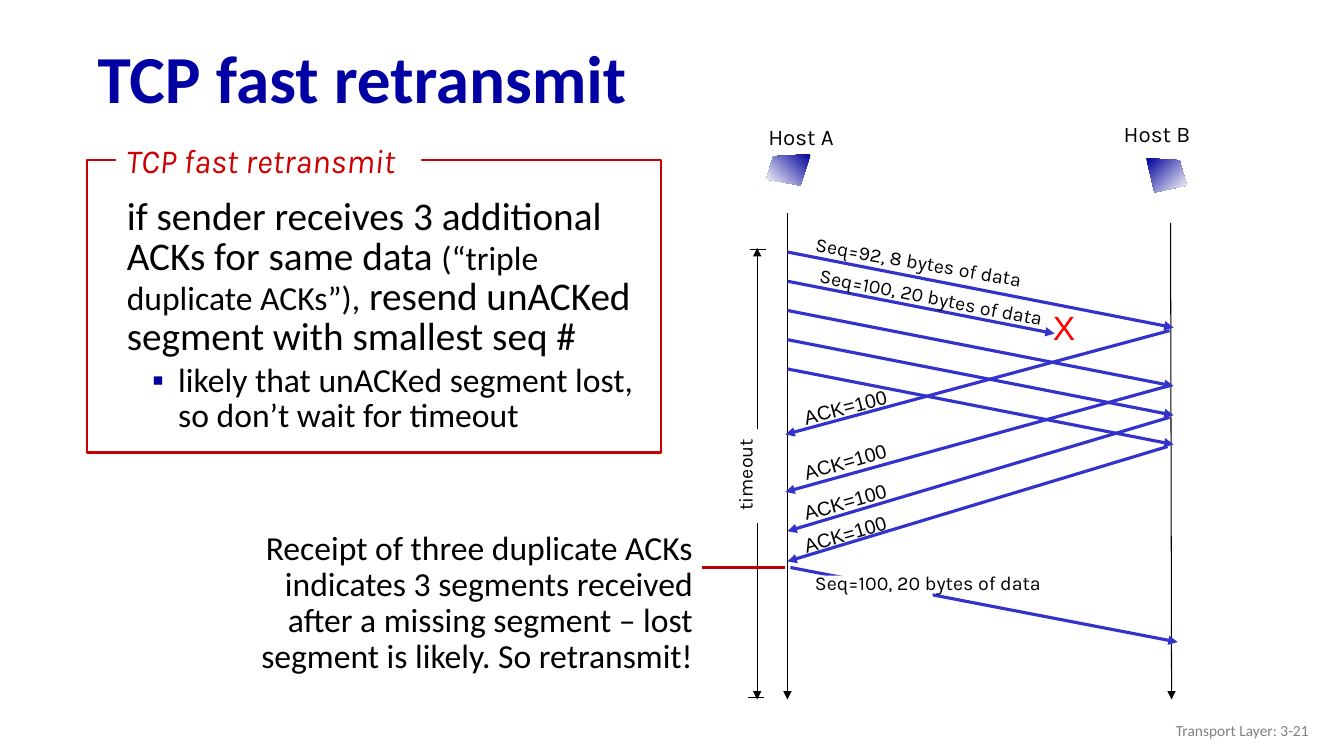
from dataclasses import dataclass

from lxml import etree
from pptx import Presentation
from pptx import util as u
from pptx.dml.color import RGBColor
from pptx.enum import shapes, text
from pptx.oxml import ns


@dataclass(frozen=True)
class Theme:
    title: str = "0000A3"
    navy: str = "000099"
    flow: str = "3333CC"
    black: str = "000000"
    white: str = "FFFFFF"
    red: str = "CC0000"
    link: str = "C00000"
    cross: str = "FF0000"
    gray: str = "808080"
    body: str = "Calibri"
    label: str = "Karla"
    plain: str = "Arial"
    head: int = 48
    large: int = 28
    mid: int = 24
    host: int = 16
    small: int = 14
    foot: int = 11


T = Theme()
LEFT, MID, RIGHT = text.PP_ALIGN.LEFT, text.PP_ALIGN.CENTER, text.PP_ALIGN.RIGHT


def rgb(code):
    return RGBColor.from_string(code)


def write(para, words, size=T.small, font=T.label, color=T.black,
          bold=False, slant=False, align=None, space=None):
    run = para.add_run()
    run.text = words
    run.font.size = u.Pt(size)
    run.font.name = font
    run.font.bold = bold
    run.font.italic = slant
    run.font.color.rgb = rgb(color)
    if align is not None:
        para.alignment = align
    if space:
        para.line_spacing = space


def bullet(para, mark, color, left, hang):
    props = para._p.get_or_add_pPr()
    props.set("marL", str(u.Inches(left)))
    props.set("indent", str(u.Inches(hang)))
    tint = etree.SubElement(props, ns.qn("a:buClr"))
    etree.SubElement(tint, ns.qn("a:srgbClr"), val=color)
    etree.SubElement(props, ns.qn("a:buFont"), typeface=T.plain)
    etree.SubElement(props, ns.qn("a:buChar"), char=mark)


class Page:
    def __init__(self, theme):
        self.theme = theme
        self.deck = Presentation()
        self.deck.slide_width = u.Inches(13.33)
        self.deck.slide_height = u.Inches(7.5)
        self.slide = self.deck.slides.add_slide(self.deck.slide_layouts[6])
        self.shapes = self.slide.shapes

    def text(self, words, box, turn=0, wrap=True, middle=False, **style):
        item = self.shapes.add_textbox(*map(u.Inches, box))
        item.rotation = turn
        frame = item.text_frame
        frame.word_wrap = wrap
        if middle:
            frame.vertical_anchor = text.MSO_ANCHOR.MIDDLE
        write(frame.paragraphs[0], words, **style)
        return frame

    def label(self, words, box, turn=0, **style):
        return self.text(words, box, turn, wrap=False, align=MID, **style)

    def rect(self, box, fill=None, edge=None):
        item = self.shapes.add_shape(shapes.MSO_SHAPE.RECTANGLE, *map(u.Inches, box))
        item.shadow.inherit = False
        if fill:
            item.fill.solid()
            item.fill.fore_color.rgb = rgb(fill)
        else:
            item.fill.background()
        if edge:
            item.line.color.rgb = rgb(edge)
            item.line.width = u.Pt(1.5)
        else:
            item.line.fill.background()
        frame = item.text_frame
        frame.word_wrap = True
        frame.vertical_anchor = text.MSO_ANCHOR.TOP
        return frame

    def line(self, start, end, color=T.black, width=0.75, arrow=True):
        item = self.shapes.add_connector(
            shapes.MSO_CONNECTOR.STRAIGHT, *map(u.Inches, (*start, *end)))
        item.line.color.rgb = rgb(color)
        item.line.width = u.Pt(width)
        if arrow:
            etree.SubElement(item.line._get_or_add_ln(), ns.qn("a:tailEnd"), type="triangle")
        etree.SubElement(item._element.spPr, ns.qn("a:effectLst"))

    def flow(self, start, end):
        self.line(start, end, self.theme.flow, 2.25)

    def glow(self, points, angle):
        spots = [tuple(map(u.Inches, spot)) for spot in points]
        pen = self.shapes.build_freeform(*spots[0], scale=1.0)
        pen.add_line_segments(spots[1:], close=True)
        item = pen.convert_to_shape()
        item.shadow.inherit = False
        item.line.fill.background()
        item.fill.gradient()
        item.fill.gradient_angle = angle
        for stop, color, place in zip(item.fill.gradient_stops,
                                      (self.theme.navy, self.theme.white), (0, 1)):
            stop.color.rgb = rgb(color)
            stop.position = place


def hosts(page):
    page.line((7.81, 2.11), (7.81, 6.94))
    page.line((11.61, 2.21), (11.62, 6.94))
    page.label("Host B", (10.89, 1.14, 1.17, 0.43), size=T.host)
    page.label("Host A", (7.36, 1.17, 1.17, 0.43), size=T.host)
    page.glow([(8.04, 1.53), (7.67, 1.55), (7.6, 1.78), (7.94, 1.84)], 225)
    page.glow([(11.37, 1.57), (11.7, 1.59), (11.77, 1.84), (11.45, 1.91)], 315)


def timer(page):
    page.label("timeout", (6.82, 4.41, 1.4, 0.6), 270)
    for start, end in ((4.26, 2.46), (5.19, 6.94)):
        page.line((7.51, start), (7.51, end))
    for left, top in ((7.44, 2.48), (7.42, 6.92)):
        page.line((left, top), (left + 0.16, top), arrow=False)


def acks(page):
    rows = [
        ((11.6, 3.28), (7.79, 4.31), 3.87, 345.6),
        ((11.62, 3.82), (7.79, 4.88), 4.41, 343.9),
        ((11.6, 4.14), (7.81, 5.27), 4.81, 344.3),
        ((11.58, 4.43), (7.81, 5.57), 5.13, 343.8),
    ]
    for start, end, top, turn in rows:
        page.flow(start, end)
        page.label("ACK=100", (7.67, top, 1.44, 0.39), turn, font=T.plain)


def sends(page):
    lost = 1
    for step in range(5):
        top = 2.5 + 0.29 * step
        end = (10.46, 3.31) if step == lost else (11.64, top + 0.75)
        page.flow((7.81, top), end)
    page.label("X", (10.34, 3, 0.43, 0.58), size=T.mid, font=T.plain, color=T.cross)
    page.label("Seq=92, 8 bytes of data", (7.95, 2.43, 2.32, 0.34), 9.7)
    again = "Seq=100, 20 bytes of data"
    page.label(again, (7.97, 2.78, 2.53, 0.34), 11.1)
    page.flow((7.84, 5.63), (11.68, 6.37))
    page.rect((8.1, 5.71, 1.15, 0.29), fill=T.white)
    page.label(again, (7.48, 5.61, 3.45, 0.39))


def rule(page):
    body = page.rect((1.16, 1.92, 5.26, 2.48), fill=T.white)
    first = body.paragraphs[0]
    for words, size in (
            ("if sender receives 3 additional ACKs for same data ", T.large),
            ("(“triple duplicate ACKs”),", T.mid),
            (" resend unACKed segment with smallest seq #", T.large)):
        write(first, words, size=size, font=T.body, align=LEFT, space=0.85)
    point = body.add_paragraph()
    bullet(point, "▪", T.navy, 0.51, -0.26)
    point.space_before = u.Pt(5)
    write(point, "likely that unACKed segment lost, so don’t wait for timeout",
          size=T.mid, font=T.body, align=LEFT, space=0.85)
    page.rect((0.86, 1.59, 5.7, 2.9), edge=T.red)
    name = page.rect((1.15, 1.34, 3.03, 0.5), fill=T.white)
    write(name.paragraphs[0], "TCP fast retransmit", size=T.mid,
          color=T.red, slant=True, align=LEFT)


def main():
    page = Page(T)
    page.text("TCP fast retransmit", (0.87, 0.32, 12.46, 0.98), middle=True,
              size=T.head, font=T.body, color=T.title, bold=True, space=0.9)
    hosts(page)
    timer(page)
    acks(page)
    sends(page)
    page.text("Receipt of three duplicate ACKs indicates 3 segments received after "
              "a missing segment – lost segment is likely. So retransmit!",
              (2.44, 5.22, 4.53, 1.56), size=T.mid, font=T.body, align=RIGHT, space=0.9)
    page.line((6.96, 5.63), (7.79, 5.63), T.link, 1.75, arrow=False)
    rule(page)
    page.text("Transport Layer: 3-21", (10.08, 7.05, 3, 0.4), middle=True,
              size=T.foot, font=T.body, color=T.gray, align=RIGHT)
    page.deck.save("out.pptx")


if __name__ == "__main__":
    main()
